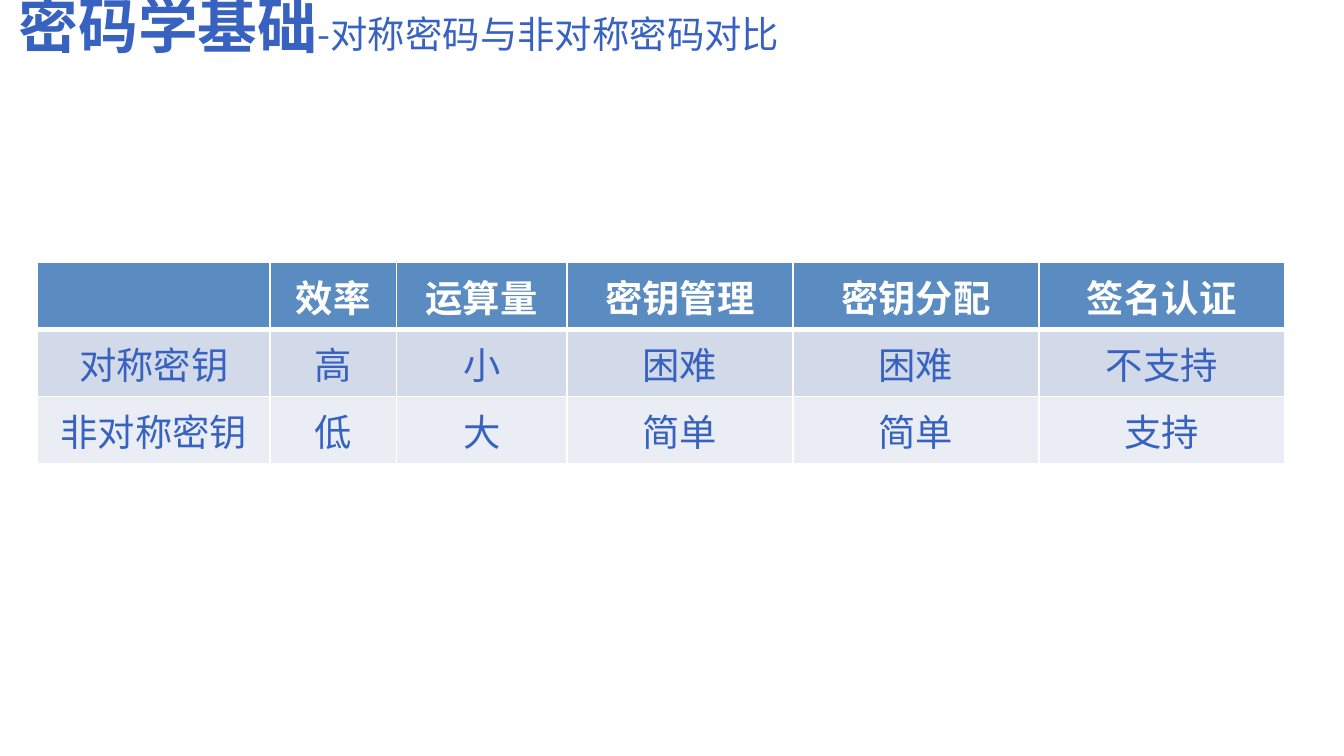
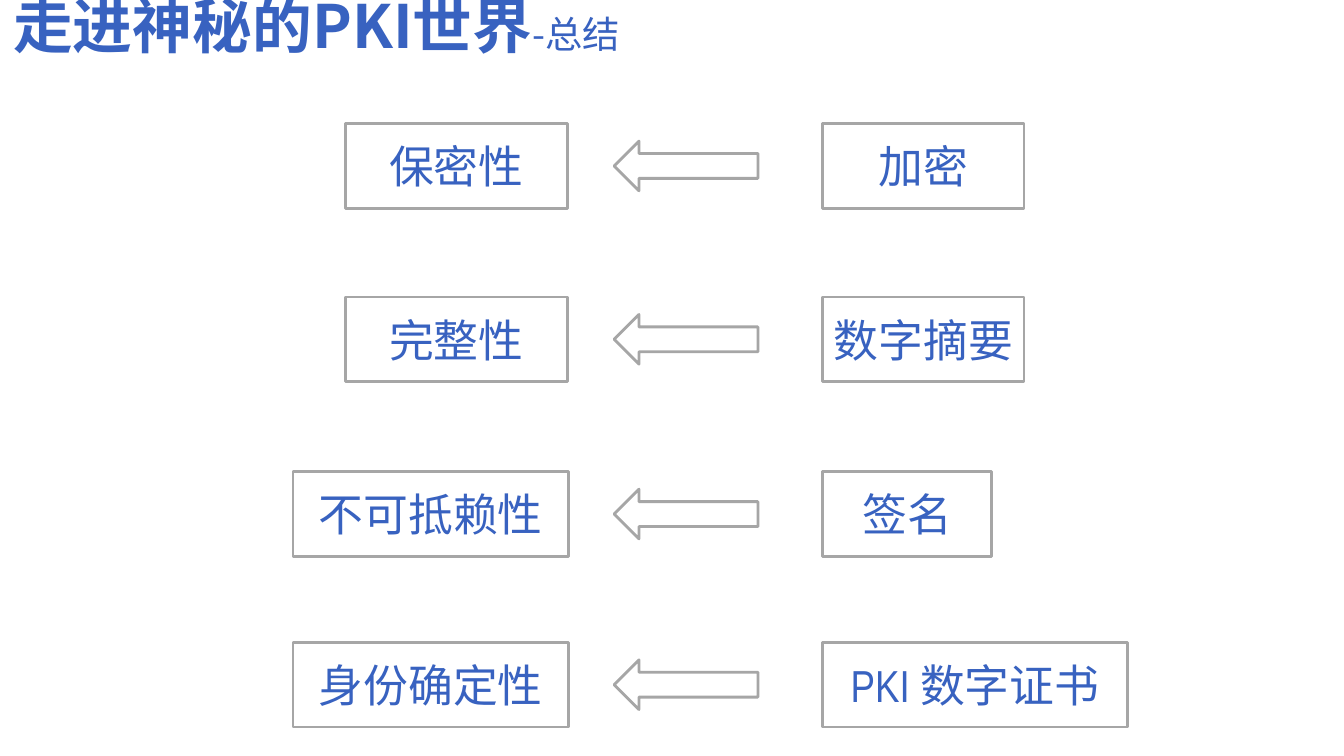
from pptx import Presentation
from pptx.dml.color import RGBColor as RGB
from pptx.enum.shapes import MSO_SHAPE as Shape
from pptx.enum.text import MSO_ANCHOR as Anchor, PP_ALIGN as Align
from pptx.oxml.ns import qn
from pptx.util import Inches, Pt
from lxml.etree import SubElement as Sub

COLORS = {"text": "3862C0", "head": "5B8CC1", "odd": "D2DAE9",
          "even": "EAEEF4", "line": "A6A6A6", "white": "FFFFFF"}
SANS = "Noto Sans CJK SC"
TITLE = {"size": Pt(32), "name": SANS, "bold": True}
SUBTITLE = {"size": Pt(20), "name": SANS, "bold": False}
HEAD = {"size": Pt(20), "name": "Arial", "bold": True}
BODY = {"size": Pt(20), "name": SANS, "bold": False}
LABEL = {"size": Pt(24), "name": "Arial Narrow"}

WIDTHS = [1.73, 0.94, 1.27, 1.68, 1.83, 1.83]
ROW_H = 0.5
ROWS = [["", "效率", "运算量", "密钥管理", "密钥分配", "签名认证"],
        ["对称密钥", "高", "小", "困难", "困难", "不支持"],
        ["非对称密钥", "低", "大", "简单", "简单", "支持"]]

# top, goal, its left edge and width, means, its width
PAIRS = [(0.92, "保密性", 2.57, 1.65, "加密", 1.5),
         (2.21, "完整性", 2.57, 1.65, "数字摘要", 1.5),
         (3.51, "不可抵赖性", 2.18, 2.05, "签名", 1.26),
         (4.78, "身份确定性", 2.18, 2.05, "PKI 数字证书", 2.27)]
BOX_H, ARROW_H = 0.63, 0.37


def color(name):
    return RGB.from_string(COLORS[name])


def add_run(par, text, form, tint="text"):
    run = par.add_run()
    run.text = text
    for key, value in form.items():
        setattr(run.font, key, value)
    run.font.color.rgb = color(tint)
    Sub(run.font._element, qn("a:ea"), typeface=SANS)


def add_title(slide, left, width, title, sub):
    box = slide.shapes.add_textbox(Inches(left), Inches(-0.02),
                                   Inches(width), Inches(0.49))
    frame = box.text_frame
    frame.word_wrap = True
    frame.margin_top = 0
    par = frame.paragraphs[0]
    par.line_spacing = 0.9
    add_run(par, title, TITLE)
    add_run(par, sub, SUBTITLE)


def set_edges(cell, **points):
    """Draw white cell borders; points maps L, R, T, B to widths."""
    props = cell._tc.get_or_add_tcPr()
    for side in "LRTB":
        line = Sub(props, qn(f"a:ln{side}"), w=str(Pt(points.get(side, 1))))
        fill = Sub(line, qn("a:solidFill"))
        Sub(fill, qn("a:srgbClr"), val=COLORS["white"])


def fill_cell(cell, text, row):
    set_edges(cell, **({"B": 3}, {"T": 3}, {})[row])
    cell.fill.solid()
    cell.fill.fore_color.rgb = color(("head", "odd", "even")[row])
    par = cell.text_frame.paragraphs[0]
    par.alignment = Align.CENTER
    if not text:
        par.font.size = HEAD["size"]
    elif row:
        add_run(par, text, BODY)
    else:
        add_run(par, text, HEAD, "white")


def add_grid(slide):
    table = slide.shapes.add_table(
        len(ROWS), len(WIDTHS), Inches(0.28), Inches(1.95),
        Inches(sum(WIDTHS)), Inches(ROW_H * len(ROWS))).table
    table.horz_banding = False
    for col, width in zip(table.columns, WIDTHS):
        col.width = Inches(width)
    for r, texts in enumerate(ROWS):
        table.rows[r].height = Inches(ROW_H)
        for c, text in enumerate(texts):
            fill_cell(table.cell(r, c), text, r)


def add_shape(slide, kind, left, top, width, height):
    shape = slide.shapes.add_shape(kind, Inches(left), Inches(top),
                                   Inches(width), Inches(height))
    shape.shadow.inherit = False
    shape.fill.solid()
    shape.fill.fore_color.rgb = color("white")
    shape.line.color.rgb = color("line")
    shape.line.width = Pt(1.5)
    return shape


def add_box(slide, text, left, top, width):
    shape = add_shape(slide, Shape.RECTANGLE, left, top, width, BOX_H)
    frame = shape.text_frame
    frame.word_wrap = False
    frame.vertical_anchor = Anchor.MIDDLE
    par = frame.paragraphs[0]
    par.alignment = Align.CENTER
    add_run(par, text, LABEL)


def add_arrow(slide, top):
    """Point left by flipping a right arrow."""
    arrow = add_shape(slide, Shape.RIGHT_ARROW, 4.57, top, 1.07, ARROW_H)
    arrow._element.spPr.xfrm.set("flipH", "1")


def add_pair(slide, top, goal, left, width, means, span):
    add_box(slide, goal, left, top, width)
    add_box(slide, means, 6.12, top, span)


def main():
    deck = Presentation()
    deck.slide_width = Inches(10)
    deck.slide_height = deck.slide_width * 9 // 16
    blank = deck.slide_layouts[6]

    slide = deck.slides.add_slide(blank)
    add_title(slide, 0.04, 6.54, "密码学基础", "-对称密码与非对称密码对比")
    add_grid(slide)

    slide = deck.slides.add_slide(blank)
    for pair in PAIRS:
        add_pair(slide, *pair)
    for top, *_ in PAIRS:
        add_arrow(slide, top + (BOX_H - ARROW_H) / 2)
    add_title(slide, 0, 5.64, "走进神秘的PKI世界", "-总结")

    deck.save("out.pptx")


if __name__ == "__main__":
    main()
